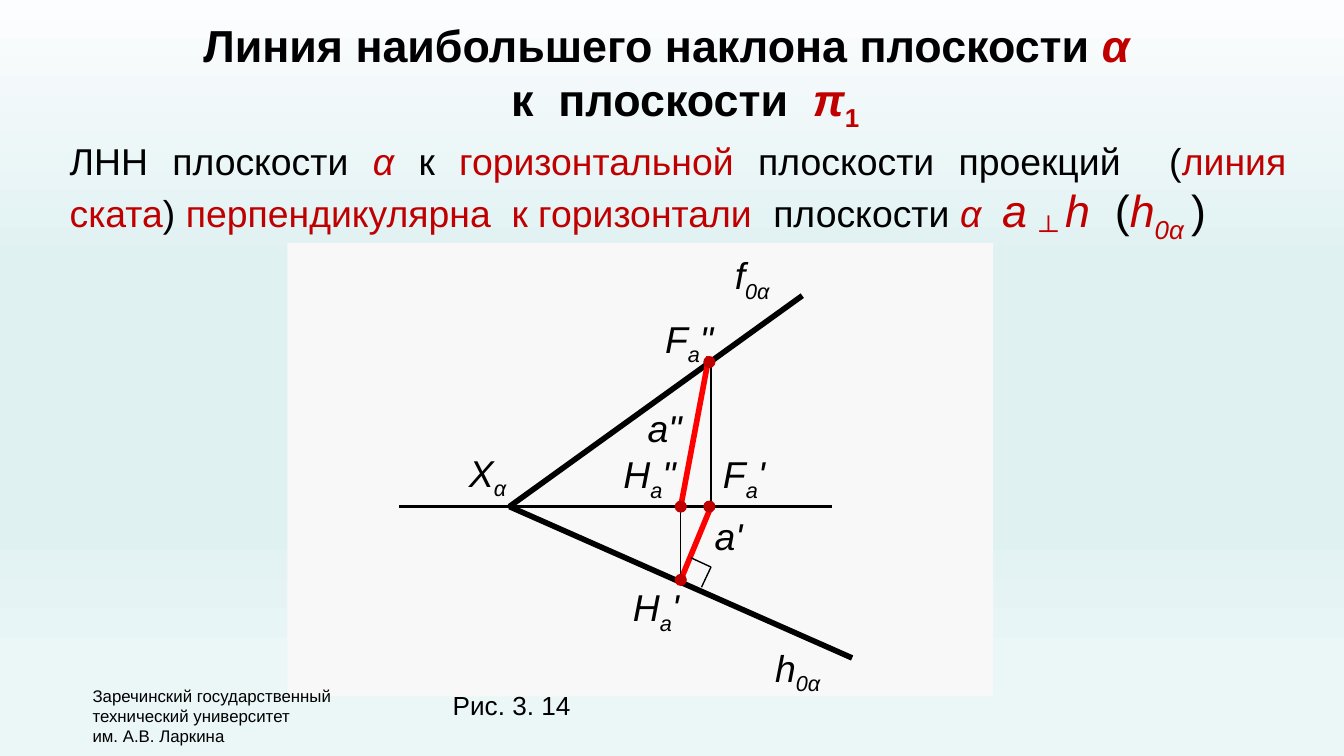
from lxml.etree import SubElement
from pptx import Presentation
from pptx.dml.color import RGBColor
from pptx.enum.shapes import MSO_CONNECTOR, MSO_SHAPE
from pptx.enum.text import MSO_ANCHOR, MSO_AUTO_SIZE, PP_ALIGN
from pptx.oxml.ns import qn
from pptx.util import Pt

BLACK = RGBColor(0x00, 0x00, 0x00)
DARK_RED = RGBColor(0xC0, 0x00, 0x00)
RED = RGBColor(0xFF, 0x00, 0x00)
PANEL = RGBColor(0xF8, 0xF8, 0xF8)
SKY = [
    (0, RGBColor(0xFC, 0xFD, 0xFE)),
    (35, RGBColor(0xE0, 0xF1, 0xF2)),
    (69, RGBColor(0xE0, 0xF1, 0xF2)),
    (88, RGBColor(0xEB, 0xF6, 0xF7)),
    (100, RGBColor(0xEB, 0xF6, 0xF7)),
]


class Drawing:
    font = "Arial"
    dot_size = 6.5
    label_size = 20
    label_height = 31.7

    def __init__(self, slide):
        self.s = slide

    def background(self, stops):
        fill = self.s.background.fill
        fill.gradient()
        fill.gradient_angle = 270
        gs_list = next(self.s._element.iter(qn("a:gsLst")))
        for gs in list(gs_list):
            gs_list.remove(gs)
        for pos, color in stops:
            gs = SubElement(gs_list, qn("a:gs"), pos=str(pos * 1000))
            SubElement(gs, qn("a:srgbClr"), val=str(color))

    def run(self, p, text, size, color=BLACK, bold=False, italic=False, sub=False):
        r = p.add_run()
        r.text = text
        f = r.font
        f.name, f.size, f.bold, f.italic = self.font, Pt(size), bold, italic
        f.color.rgb = color
        if sub:
            r._r.get_or_add_rPr().set("baseline", "-25000")

    def fill_text(self, sp, paragraphs, size, align, wrap, bold=False):
        tf = sp.text_frame
        tf.word_wrap = wrap
        tf.auto_size = MSO_AUTO_SIZE.SHAPE_TO_FIT_TEXT
        tf.vertical_anchor = MSO_ANCHOR.TOP
        for i, runs in enumerate(paragraphs):
            p = tf.add_paragraph() if i else tf.paragraphs[0]
            p.alignment = align
            for text, style in runs:
                self.run(p, text, **{"size": size, "bold": bold, **style})

    def title(self, x, y, w, h, paragraphs, size):
        sp = self.s.shapes.title
        sp.left, sp.top, sp.width, sp.height = Pt(x), Pt(y), Pt(w), Pt(h)
        self.fill_text(sp, paragraphs, size, PP_ALIGN.CENTER, True, bold=True)
        return sp

    def text(self, x, y, w, h, paragraphs, size, align=PP_ALIGN.LEFT, wrap=False):
        sp = self.s.shapes.add_textbox(Pt(x), Pt(y), Pt(w), Pt(h))
        self.fill_text(sp, paragraphs, size, align, wrap)

    def label(self, x, y, w, name, sub="", prime=""):
        runs = [(name, {"italic": True})]
        if sub:
            runs.append((sub, {"italic": True, "sub": True}))
        if prime:
            runs.append((prime, {"italic": True}))
        self.text(x, y, w, self.label_height, [runs], self.label_size)

    def shape(self, kind, x, y, w, h, color):
        sp = self.s.shapes.add_shape(kind, Pt(x), Pt(y), Pt(w), Pt(h))
        sp.shadow.inherit = False
        sp.fill.solid()
        sp.fill.fore_color.rgb = color
        sp.line.fill.background()

    def dot(self, x, y):
        d = self.dot_size
        self.shape(MSO_SHAPE.OVAL, x - d / 2, y - d / 2, d, d, DARK_RED)

    def line(self, start, end, width, color=BLACK):
        c = self.s.shapes.add_connector(
            MSO_CONNECTOR.STRAIGHT, *(Pt(v) for v in (*start, *end)))
        c.line.width = Pt(width)
        c.line.color.rgb = color
        SubElement(c._element.spPr, qn("a:effectLst"))


def main():
    prs = Presentation()
    prs.slide_width, prs.slide_height = Pt(720), Pt(405)
    s = prs.slides.add_slide(prs.slide_layouts[5])
    d = Drawing(s)
    d.background(SKY)
    d.shape(MSO_SHAPE.RECTANGLE, 154, 130.3, 378, 242.8, PANEL)

    red = {"color": DARK_RED}
    symbol = {**red, "italic": True}
    big = {**symbol, "size": 24}

    title = d.title(0, 5.8, 714.2, 65.5, [
        [("Линия наибольшего наклона плоскости ", {}), ("α", symbol)],
        [("к  плоскости  ", {}), ("π", symbol), ("1", {**red, "sub": True})],
    ], 24)
    second = title.text_frame.paragraphs[1]
    second._p.get_or_add_pPr().set("marL", str(Pt(20)))

    d.text(30.2, 70.6, 666, 60.5, [[
        ("ЛНН плоскости ", {}),
        ("α ", symbol),
        ("к ", {}),
        ("горизонтальной ", red),
        ("плоскости проекций  (", {}),
        ("линия ската", red),
        (") ", {}),
        ("перпендикулярна  к горизонтали  ", red),
        ("плоскости ", {}),
        ("α  ", symbol),
        ("а ", big),
        ("┴ ", {**big, "sub": True}),
        ("h  ", big),
        ("(", {"size": 24}),
        ("h", big),
        ("0α ", {**big, "sub": True}),
        (")", {"size": 24}),
    ]], 20, PP_ALIGN.JUSTIFY, True)

    axis = 271.4
    vertex = (272.9, axis)
    f2, f1 = (380, 194), (380, axis)
    h2, h1 = (364.7, axis), (364.7, 310.7)
    corner = (380.9, 303.8)

    d.line((213.8, axis), (445.7, axis), 1.75)
    d.line(vertex, (429.8, 158.4), 3)
    d.line(vertex, (456.5, 352.5), 3)
    d.line(h1, (380.9, axis), 3, RED)
    d.line((380.9, axis), (380.9, 195.8), 0.75)
    d.line(h1, h2, 0.75)
    d.line(h2, (379.8, 191), 3, RED)
    d.line((370.1, 298.8), corner, 0.75)
    d.line(corner, (375.8, 314.6), 0.75)

    for point in (h1, h2, f2, f1):
        d.dot(*point)

    for label in [
        (244.1, 237.6, 36.7, "X", "α"),
        (386.6, 131.8, 38.9, "f", "0α"),
        (408.2, 342, 40.3, "h", "0α"),
        (331.9, 309.6, 44.6, "H", "а", "'"),
        (326.9, 238.3, 48.2, "H", "а", '"'),
        (380.2, 238.3, 43.2, "F", "а", "'"),
        (349.2, 165.6, 46.8, "F", "а", '"'),
        (339.8, 213.8, 35.3, "а", "", '"'),
        (375.8, 271.4, 31.7, "а", "", "'"),
    ]:
        d.label(*label)

    d.text(42.5, 363.6, 142.6, 39.6, [
        [("Заречинский государственный", {})],
        [("технический университет", {})],
        [("им. А.В. Ларкина", {})],
    ], 9)
    d.text(235.4, 365.8, 78.5, 24.5, [[("Рис. 3. 14", {})]], 14)
    prs.save("out.pptx")


if __name__ == "__main__":
    main()
